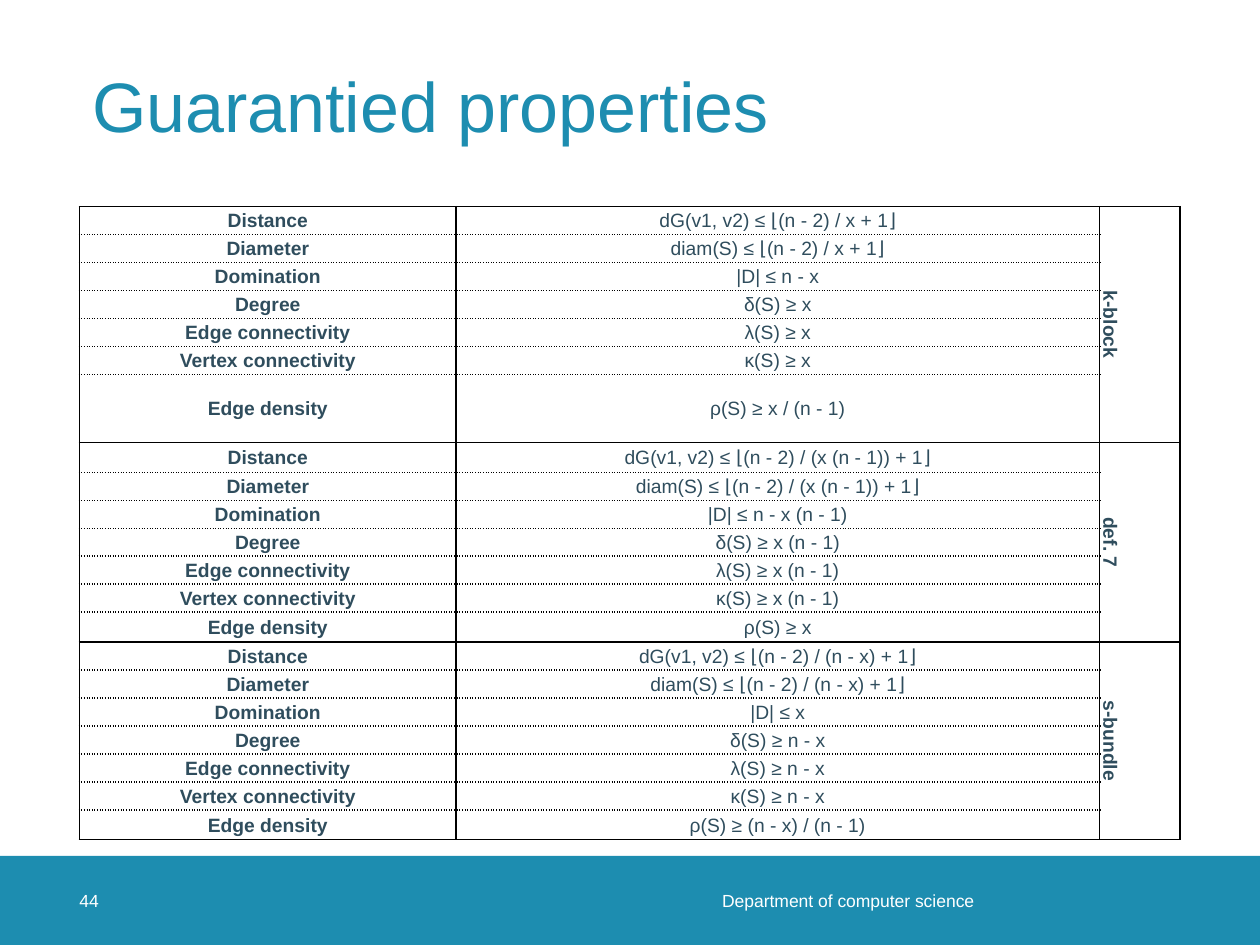
from dataclasses import dataclass

import pptx
import pptx.util
import pptx.dml.color
import pptx.enum.shapes
import pptx.enum.text
import pptx.oxml
import pptx.oxml.ns

Pt = pptx.util.Pt
ALIGN = pptx.enum.text.PP_ALIGN
MIDDLE = pptx.enum.text.MSO_ANCHOR.MIDDLE
COLORS = {"accent": "1D8DB0", "text": "2F4D5D", "white": "FFFFFF", "line": "000000"}
FONT = "Arial"


@dataclass
class Family:
    name: str
    distance: str
    domination: str
    degree: str
    density: str

    def properties(self) -> list[tuple[str, str]]:
        bound = f"≤ ⌊(n - 2) / {self.distance} + 1⌋"
        return [
            ("Distance", f"dG(v1, v2) {bound}"),
            ("Diameter", f"diam(S) {bound}"),
            ("Domination", f"|D| ≤ {self.domination}"),
            ("Degree", f"δ(S) ≥ {self.degree}"),
            ("Edge connectivity", f"λ(S) ≥ {self.degree}"),
            ("Vertex connectivity", f"κ(S) ≥ {self.degree}"),
            ("Edge density", f"ρ(S) ≥ {self.density}"),
        ]


@dataclass
class Label:
    text: str
    left: float
    width: float
    align: ALIGN
    right_inset: float


FAMILIES = [
    Family("k-block", "x", "n - x", "x", "x / (n - 1)"),
    Family("def. 7", "(x (n - 1))", "n - x (n - 1)", "x (n - 1)", "x"),
    Family("s-bundle", "(n - x)", "x", "n - x", "(n - x) / (n - 1)"),
]
FOOTER = [
    Label("Department of computer science", 280, 291, ALIGN.RIGHT, 14.4),
    Label("44", 45.4, 51, ALIGN.LEFT, 0),
]
BLOCK = 7  # rows per family
COL_WIDTHS = [215.3, 367.5, 46.2]
ROW_HEIGHT, TALL_ROW = 16, 17
ROW_HEIGHTS = [TALL_ROW if i in (7, 13, 20) else ROW_HEIGHT for i in range(BLOCK * len(FAMILIES))]
ROW_HEIGHTS[6] = 39
FOOTER_TOP, FOOTER_HEIGHT = 489, 51


def add_run(p, text: str, size: float, color: str, bold: bool = False) -> None:
    r = p.add_run()
    r.text = text
    r.font.size = Pt(size)
    r.font.name = FONT
    r.font.bold = bold
    r.font.color.rgb = pptx.dml.color.RGBColor.from_string(COLORS[color])


def set_borders(cell, top: str, bottom: str) -> None:
    tc_pr = cell._tc.get_or_add_tcPr()
    for side, dash in (("L", "solid"), ("R", "solid"), ("T", top), ("B", bottom)):
        tc_pr.append(pptx.oxml.parse_xml(
            f'<a:ln{side} {pptx.oxml.ns.nsdecls("a")} w="{Pt(1)}">'
            f'<a:solidFill><a:srgbClr val="{COLORS["line"]}"/></a:solidFill>'
            f'<a:prstDash val="{dash}"/></a:ln{side}>'))


def fill_cell(cell, text: str, bold: bool, top: str, bottom: str) -> None:
    cell.margin_left = cell.margin_right = Pt(3.6)
    cell.margin_top = cell.margin_bottom = 0
    cell.vertical_anchor = MIDDLE
    set_borders(cell, top, bottom)
    cell.fill.background()
    p = cell.text_frame.paragraphs[0]
    p.alignment = ALIGN.CENTER
    p.line_spacing = 1.07
    add_run(p, text, 11, "text", bold)


def add_properties_table(s) -> None:
    frame = s.shapes.add_table(len(ROW_HEIGHTS), len(COL_WIDTHS), Pt(45.4), Pt(118),
                               Pt(sum(COL_WIDTHS)), Pt(sum(ROW_HEIGHTS)))
    table = frame.table
    table.first_row = table.horz_banding = False
    for column, width in zip(table.columns, COL_WIDTHS):
        column.width = Pt(width)
    for row, height in zip(table.rows, ROW_HEIGHTS):
        row.height = Pt(height)

    for b, family in enumerate(FAMILIES):
        first, last = b * BLOCK, (b + 1) * BLOCK - 1
        for i, (label, formula) in enumerate(family.properties(), start=first):
            top = "solid" if i == first else "sysDot"
            bottom = "solid" if i == last else "sysDot"
            fill_cell(table.cell(i, 0), label, True, top, bottom)
            fill_cell(table.cell(i, 1), formula, False, top, bottom)
            if i > first:
                set_borders(table.cell(i, 2), "solid", "solid")
        # Family name, turned and spanning its block
        name_cell = table.cell(first, 2)
        name_cell.merge(table.cell(last, 2))
        fill_cell(name_cell, family.name, True, "solid", "solid")
        name_cell._tc.get_or_add_tcPr().set("vert", "vert")


def add_label(s, label: Label) -> None:
    box = s.shapes.add_textbox(Pt(label.left), Pt(FOOTER_TOP), Pt(label.width), Pt(FOOTER_HEIGHT))
    tf = box.text_frame
    tf.word_wrap = True
    tf.vertical_anchor = MIDDLE
    tf.margin_left = tf.margin_top = tf.margin_bottom = 0
    tf.margin_right = Pt(label.right_inset)
    p = tf.paragraphs[0]
    p.alignment = label.align
    add_run(p, label.text, 10, "white")


def main() -> None:
    prs = pptx.Presentation()
    prs.slide_width, prs.slide_height = Pt(720), Pt(540)
    s = prs.slides.add_slide(prs.slide_layouts[5])

    # Title
    title = s.shapes.title
    title.left, title.top, title.width, title.height = Pt(45.4), Pt(17.3), Pt(629), Pt(90.7)
    tf = title.text_frame
    tf.vertical_anchor = MIDDLE
    p = tf.paragraphs[0]
    p.alignment = ALIGN.LEFT
    p.line_spacing = 0.9
    add_run(p, "Guarantied properties", 40, "accent")

    # Footer band
    band = s.shapes.add_shape(pptx.enum.shapes.MSO_SHAPE.RECTANGLE, 0, Pt(FOOTER_TOP),
                              prs.slide_width, Pt(FOOTER_HEIGHT))
    band.shadow.inherit = False
    band.fill.solid()
    band.fill.fore_color.rgb = pptx.dml.color.RGBColor.from_string(COLORS["accent"])
    band.line.fill.background()
    for label in FOOTER:
        add_label(s, label)

    # Table
    add_properties_table(s)
    prs.save("out.pptx")


if __name__ == "__main__":
    main()
